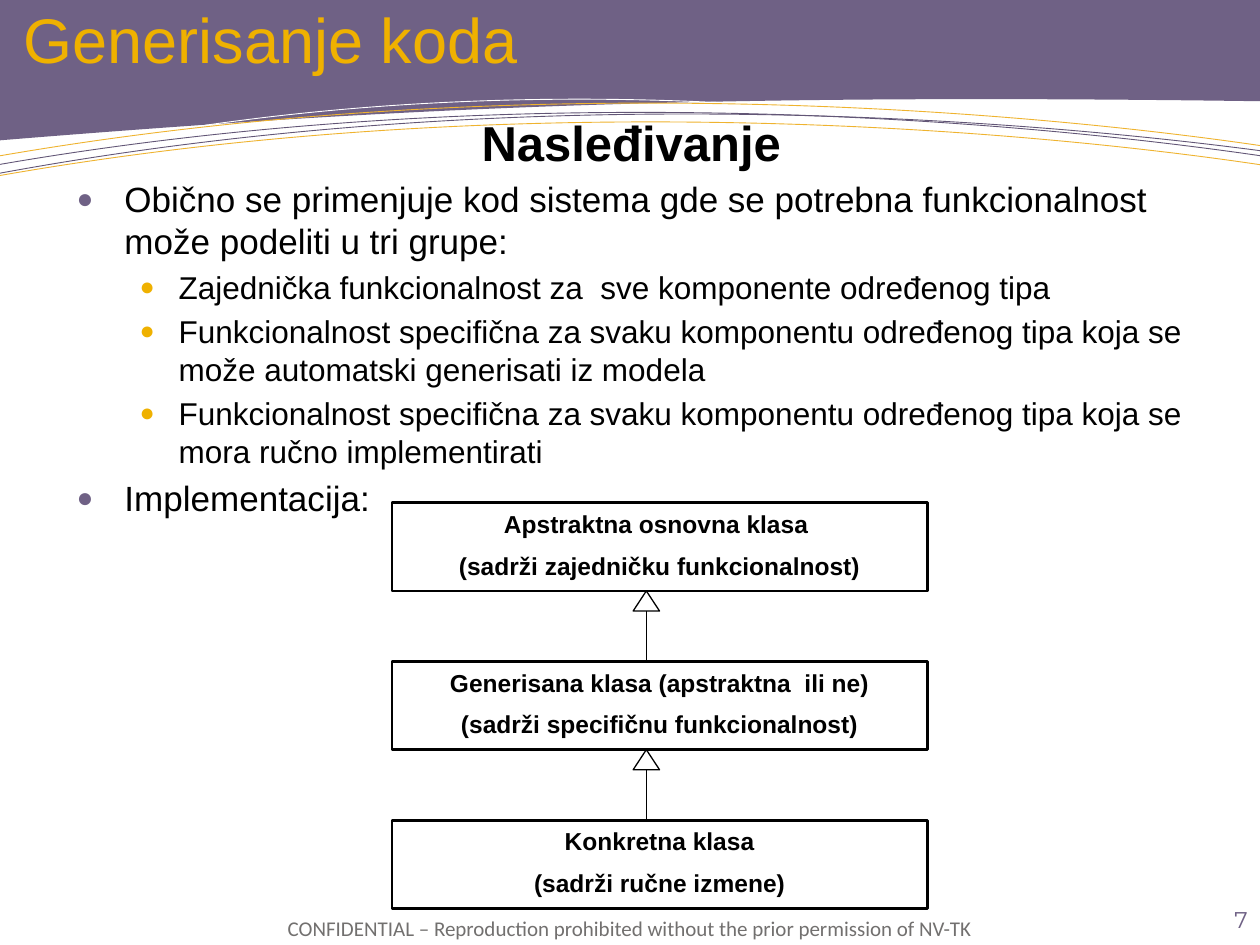
from pptx import Presentation
from pptx import util as u
from pptx.dml.color import RGBColor
from pptx.enum import shapes, text
from pptx.oxml import ns
from lxml import etree

PURPLE = RGBColor(0x6F, 0x61, 0x85)
DARK_PURPLE = RGBColor(0x62, 0x56, 0x76)
GOLD = RGBColor(0xEF, 0xB1, 0x00)
PALE_GOLD = RGBColor(0xEF, 0xB3, 0x2F)
GREY = RGBColor(0x72, 0x70, 0x6F)
BLACK = RGBColor(0, 0, 0)
WHITE = RGBColor(255, 255, 255)

# Each swoosh: colour, then start, two control points and end in inches
SWOOSHES = [
    (WHITE, [(-0.02, 1.31), (3.5, 0.46), (6.81, 0.86), (7.95, 1.04)]),
    (PALE_GOLD, [(-0.02, 1.24), (4.42, 0.47), (8.61, 0.95), (10.03, 1.16)]),
    (DARK_PURPLE, [(-0.03, 1.31), (4.4, 0.54), (8.59, 1.03), (10.03, 1.24)]),
    (PALE_GOLD, [(-0.04, 1.4), (4.37, 0.62), (8.55, 1.09), (10.02, 1.31)]),
    (DARK_PURPLE, [(-0.03, 1.38), (4.39, 0.56), (8.6, 1.01), (10.03, 1.2)]),
]
BAND = [(0, 0), (10, 0), (10, 0.79), (5.7, 0.73), (3.31, 0.83), (0, 1.1)]

# Body paragraphs: level, text
BODY = [
    (0, "Obično se primenjuje kod sistema gde se potrebna funkcionalnost "
        "može podeliti u tri grupe:"),
    (1, "Zajednička funkcionalnost za  sve komponente određenog tipa"),
    (1, "Funkcionalnost specifična za svaku komponentu određenog tipa koja se "
        "može automatski generisati iz modela"),
    (1, "Funkcionalnost specifična za svaku komponentu određenog tipa koja se "
        "mora ručno implementirati"),
    (0, "Implementacija:"),
]
# Per level: size, left margin, hanging indent, bullet colour
LEVELS = [(20, 0.38, 0.38, PURPLE), (18, 0.81, 0.31, GOLD)]

CLASSES = [
    ("Apstraktna osnovna klasa ", "(sadrži zajedničku funkcionalnost)"),
    ("Generisana klasa (apstraktna  ili ne)", "(sadrži specifičnu funkcionalnost)"),
    ("Konkretna klasa", "(sadrži ručne izmene)"),
]
CLASS_LEFT, CLASS_TOP, CLASS_WIDTH, CLASS_HEIGHT = 3.11, 3.99, 4.25, 0.7
CLASS_PITCH = 1.26
ARROW_X, HEAD_WIDTH, HEAD_HEIGHT = 5.13, 0.21, 0.16


def inches(*lengths):
    return [u.Inches(length) for length in lengths]


def style_shape(shape, line_color, width, fill=None):
    shape.shadow.inherit = False
    if fill is None:
        shape.fill.background()
    else:
        shape.fill.solid()
        shape.fill.fore_color.rgb = fill
    shape.line.color.rgb = line_color
    shape.line.width = u.Pt(width)


def add_curve(page, points, line_color, width, fill=None):
    """Outline whose last three points end it with one cubic curve."""
    start, *rest = [inches(*point) for point in points]
    builder = page.shapes.build_freeform(*start)
    builder.add_line_segments(rest, close=fill is not None)
    outline = builder.convert_to_shape()
    first, *others = list(outline.element.iter(ns.qn("a:lnTo")))[-3:]
    first.tag = ns.qn("a:cubicBezTo")
    for segment in others:
        first.append(segment[0])
        segment.getparent().remove(segment)
    style_shape(outline, line_color, width, fill)


def format_para(para, size, color, font="Arial", bold=False, align=None):
    para.alignment = align
    for span in para.runs:
        span.font.size = u.Pt(size)
        span.font.name = font
        span.font.bold = bold
        span.font.color.rgb = color


def add_text(page, place, words, size, color, font, align, inset):
    box = page.shapes.add_textbox(*inches(*place))
    frame = box.text_frame
    frame.word_wrap = True
    frame.margin_top = frame.margin_bottom = u.Inches(inset)
    frame.text = words
    format_para(frame.paragraphs[0], size, color, font, align=align)


def set_indent(para, left, hanging):
    props = para._p.get_or_add_pPr()
    props.set("marL", str(u.Inches(left)))
    props.set("indent", str(-u.Inches(hanging)))
    return props


def add_bullet(props, color):
    holder = etree.SubElement(props, ns.qn("a:buClr"))
    etree.SubElement(holder, ns.qn("a:srgbClr"), val=str(color))
    etree.SubElement(props, ns.qn("a:buSzPct"), val="80000")
    etree.SubElement(props, ns.qn("a:buFont"), typeface="Arial")
    etree.SubElement(props, ns.qn("a:buChar"), char="●")


def add_header(page):
    add_curve(page, BAND, PURPLE, 2, PURPLE)
    for color, points in SWOOSHES:
        add_curve(page, points, color, 0.5)


def set_title(page, words):
    title = page.shapes.title
    title.element.getparent().append(title.element)  # in front of the header
    title.left, title.top, title.width, title.height = inches(0.09, 0, 8.66, 0.79)
    frame = title.text_frame
    frame.text = words
    frame.vertical_anchor = text.MSO_ANCHOR.MIDDLE
    frame.auto_size = text.MSO_AUTO_SIZE.NONE
    frame.margin_top = frame.margin_bottom = u.Inches(0.08)
    para = frame.paragraphs[0]
    para.line_spacing = u.Pt(30)
    format_para(para, 36, GOLD, align=text.PP_ALIGN.LEFT)


def add_body(page):
    frame = page.shapes.add_textbox(*inches(0.51, 0.84, 9, 3.39)).text_frame
    frame.word_wrap = True
    heading = frame.paragraphs[0]
    heading.text = "Nasleđivanje"
    set_indent(heading, 0.38, 0.38)
    format_para(heading, 28, BLACK, bold=True, align=text.PP_ALIGN.CENTER)
    for level, words in BODY:
        size, left, hanging, color = LEVELS[level]
        para = frame.add_paragraph()
        para.text = words
        para.level = level
        para.space_before = u.Pt(0.2 * size)
        format_para(para, size, BLACK)
        add_bullet(set_indent(para, left, hanging), color)


def add_class(page, top, lines):
    box = page.shapes.add_shape(
        shapes.MSO_SHAPE.RECTANGLE,
        *inches(CLASS_LEFT, top, CLASS_WIDTH, CLASS_HEIGHT))
    style_shape(box, BLACK, 1.5)
    frame = box.text_frame
    frame.word_wrap = True
    frame.vertical_anchor = text.MSO_ANCHOR.TOP
    frame.text = "\n".join(lines)
    for para in frame.paragraphs:
        format_para(para, 14, BLACK, bold=True, align=text.PP_ALIGN.CENTER)
    frame.paragraphs[1].space_before = u.Pt(7)


def add_inheritance(page, top, bottom):
    head = page.shapes.add_shape(
        shapes.MSO_SHAPE.ISOSCELES_TRIANGLE,
        *inches(ARROW_X - HEAD_WIDTH / 2, top, HEAD_WIDTH, HEAD_HEIGHT))
    style_shape(head, BLACK, 0.75)
    stem = page.shapes.add_connector(
        shapes.MSO_CONNECTOR.STRAIGHT,
        *inches(ARROW_X, top + HEAD_HEIGHT, ARROW_X, bottom))
    stem.line.color.rgb = BLACK
    stem.line.width = u.Pt(0.75)
    etree.SubElement(stem.element.spPr, ns.qn("a:effectLst"))


def main():
    deck = Presentation()
    deck.slide_width, deck.slide_height = inches(10, 7.5)
    page = deck.slides.add_slide(deck.slide_layouts[5])

    # Header and footer
    add_header(page)
    add_text(page, (2.03, 7.27, 5.94, 0.23),
             "CONFIDENTIAL – Reproduction prohibited without the prior permission of NV-TK",
             12, GREY, "Calibri", text.PP_ALIGN.CENTER, 0)
    add_text(page, (8.83, 7.14, 1.17, 0.33), "7",
             13, PURPLE, "Montserrat", text.PP_ALIGN.RIGHT, 0.05)

    # Title and body
    set_title(page, "Generisanje koda")
    add_body(page)

    # Class diagram
    tops = [CLASS_TOP + CLASS_PITCH * row for row in range(len(CLASSES))]
    for top, lines in zip(tops, CLASSES):
        add_class(page, top, lines)
    for upper, lower in zip(tops, tops[1:]):
        add_inheritance(page, upper + CLASS_HEIGHT, lower)

    deck.save("out.pptx")


main()
